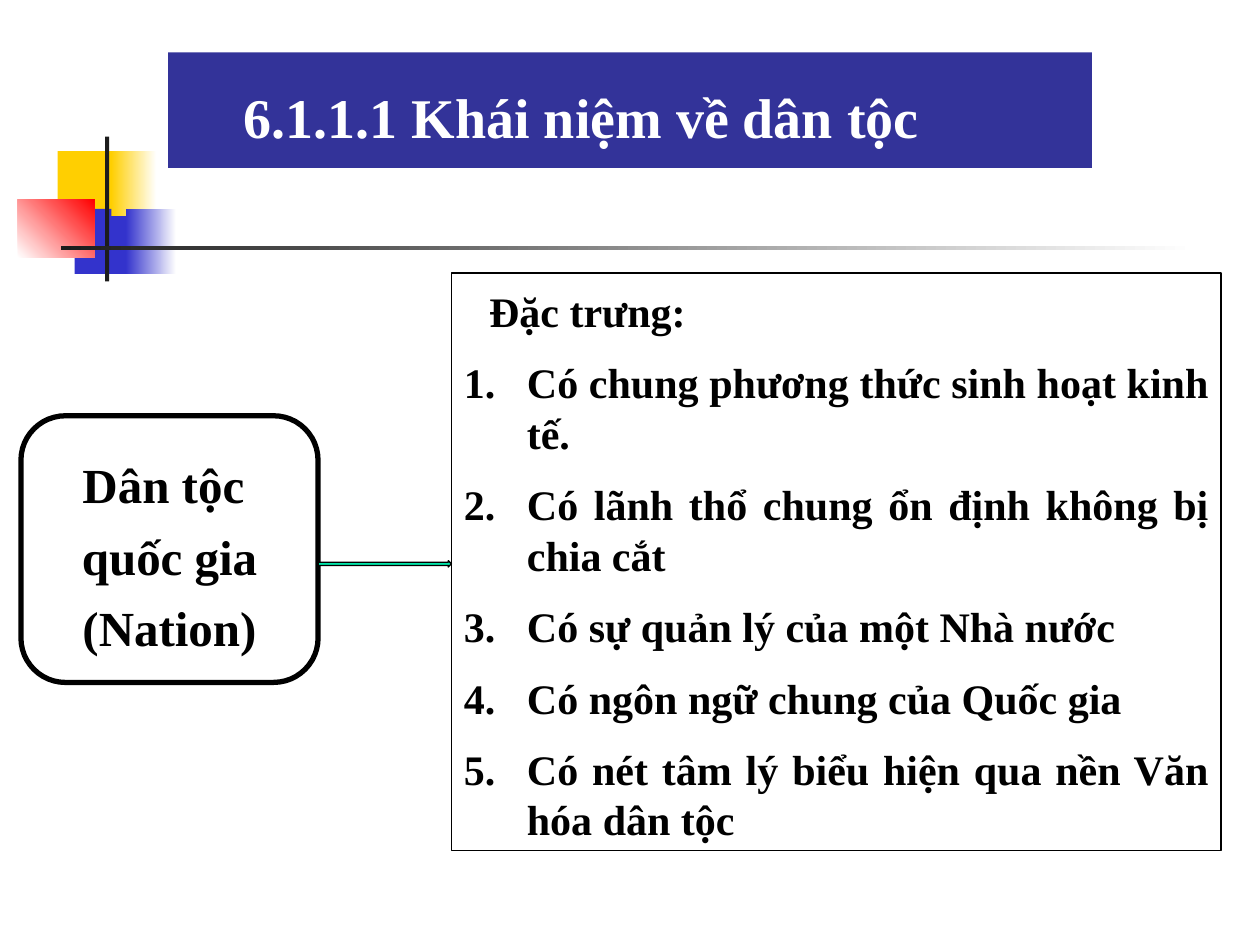
from dataclasses import dataclass
from lxml.etree import SubElement
from pptx import Presentation
from pptx.dml.color import RGBColor as RGB
from pptx.enum.shapes import MSO_SHAPE as Shape
from pptx.enum.text import MSO_ANCHOR as Anchor, PP_ALIGN as Align
from pptx.oxml.ns import qn
from pptx.util import Inches, Pt

UNITS = 12  # grid units per inch: the slide is 120 columns by 90 rows


@dataclass(frozen=True)
class Theme:
    font: str = "Times New Roman"
    ink: str = "000000"
    paper: str = "FFFFFF"
    banner: str = "333399"
    gold: str = "FFCF01"
    blue: str = "3333CC"
    red: str = "FF0000"
    rule: str = "1C1C1C"
    arrow: str = "00E4A8"
    title: int = 32
    card: int = 28
    body: int = 24


class Deck:
    def __init__(self, theme):
        self.theme = theme
        self.prs = Presentation()
        self.prs.slide_width, self.prs.slide_height = Inches(10), Inches(7.5)
        self.slide = self.prs.slides.add_slide(self.prs.slide_layouts[5])

    def grid(self, *cells):
        return [Inches(cell / UNITS) for cell in cells]

    def paint(self, shape, fill, line=None, width=0.75):
        shape.fill.solid()
        shape.fill.fore_color.rgb = RGB.from_string(fill)
        if line:
            shape.line.color.rgb = RGB.from_string(line)
            shape.line.width = Pt(width)
        else:
            shape.line.fill.background()

    def shape(self, kind, cells, fill, line=None, width=0.75):
        item = self.slide.shapes.add_shape(kind, *self.grid(*cells))
        item.shadow.inherit = False
        self.paint(item, fill, line, width)
        return item

    def fade(self, cells, start, end, angle=0):
        """Add a borderless rectangle with a two-colour gradient."""
        fill = self.shape(Shape.RECTANGLE, cells, start).fill
        fill.gradient()
        fill.gradient_angle = angle
        for stop, color in zip(fill.gradient_stops, (start, end)):
            stop.color.rgb = RGB.from_string(color)

    def frame(self, shape, anchor, wrap=True, top=0.05):
        text = shape.text_frame
        text.word_wrap, text.vertical_anchor = wrap, anchor
        text.margin_left = text.margin_right = Inches(0.1)
        text.margin_top, text.margin_bottom = Inches(top), Inches(0.05)
        return text

    def para(self, text, words, size, color, align, left=0, first=0,
             before=0, after=0, number=False):
        """Write one bold paragraph, filling the empty first one if unused."""
        fresh = not text.paragraphs[0].runs
        par = text.paragraphs[0] if fresh else text.add_paragraph()
        par.alignment = align
        par.space_before, par.space_after = Pt(0 if fresh else before), Pt(after)
        props = par._p.get_or_add_pPr()
        props.set("marL", str(Inches(left)))
        props.set("indent", str(Inches(first)))
        if number:
            SubElement(props, qn("a:buAutoNum"), type="arabicPeriod")
        run = par.add_run()
        run.text = words
        font = run.font
        font.name, font.size, font.bold = self.theme.font, Pt(size), True
        font.color.rgb = RGB.from_string(color)

    def title(self, cells, words):
        item = self.slide.shapes.title
        item.left, item.top, item.width, item.height = self.grid(*cells)
        self.paint(item, self.theme.banner)
        text = self.frame(item, Anchor.MIDDLE, top=0.15)
        self.para(text, words, self.theme.title, self.theme.paper,
                  Align.JUSTIFY, left=0.5)

    def card(self, cells, lines):
        look = self.theme
        item = self.shape(Shape.ROUNDED_RECTANGLE, cells, look.paper, look.ink, 3)
        text = self.frame(item, Anchor.MIDDLE, wrap=False, top=0.15)
        for line in lines:
            self.para(text, line, look.card, look.ink, Align.CENTER, before=7)

    def panel(self, cells, head, points):
        look = self.theme
        item = self.shape(Shape.RECTANGLE, cells, look.paper, look.ink)
        text = self.frame(item, Anchor.TOP, top=0.1)
        style = dict(size=look.body, color=look.ink, align=Align.JUSTIFY,
                     before=6, after=6)
        self.para(text, head, first=0.2, **style)
        for point in points:
            self.para(text, point, left=0.5, first=-0.5, number=True, **style)

    def motif(self):
        """Draw the overlapping squares and the crossed rules."""
        look = self.theme
        for cells, color in (((5.5, 14.4, 5.8, 6.2), look.gold),
                             ((7.1, 19.9, 5.5, 6.2), look.blue)):
            self.shape(Shape.RECTANGLE, cells, color)
        self.fade((10.6, 14.4, 4.3, 6.2), look.gold, look.paper)
        self.fade((12, 19.9, 4.8, 6.2), look.blue, look.paper)
        self.fade((1.7, 19, 7.3, 5.5), look.paper, look.red, 45)
        self.shape(Shape.RECTANGLE, (10, 13, 0.4, 13.8), look.rule)
        self.fade((5.8, 23.4, 108, 0.4), look.rule, look.paper)


def main():
    look = Theme()
    deck = Deck(look)
    deck.motif()
    deck.title((16, 5, 88, 11), "6.1.1.1 Khái niệm về dân tộc")
    deck.card((2, 39.6, 28.3, 25.4), ("Dân tộc ", "quốc gia", "(Nation)"))
    deck.panel((43, 26, 73.3, 55), "Đặc trưng:", (
        "Có chung phương thức sinh hoạt kinh tế.",
        "Có lãnh thổ chung ổn định không bị chia cắt",
        "Có sự quản lý của một Nhà nước",
        "Có ngôn ngữ chung của Quốc gia",
        "Có nét tâm lý biểu hiện qua nền Văn hóa dân tộc",
    ))
    deck.shape(Shape.RIGHT_ARROW, (30.3, 53.4, 12.7, 0.6), look.arrow, look.ink)
    deck.prs.save("out.pptx")


if __name__ == "__main__":
    main()
